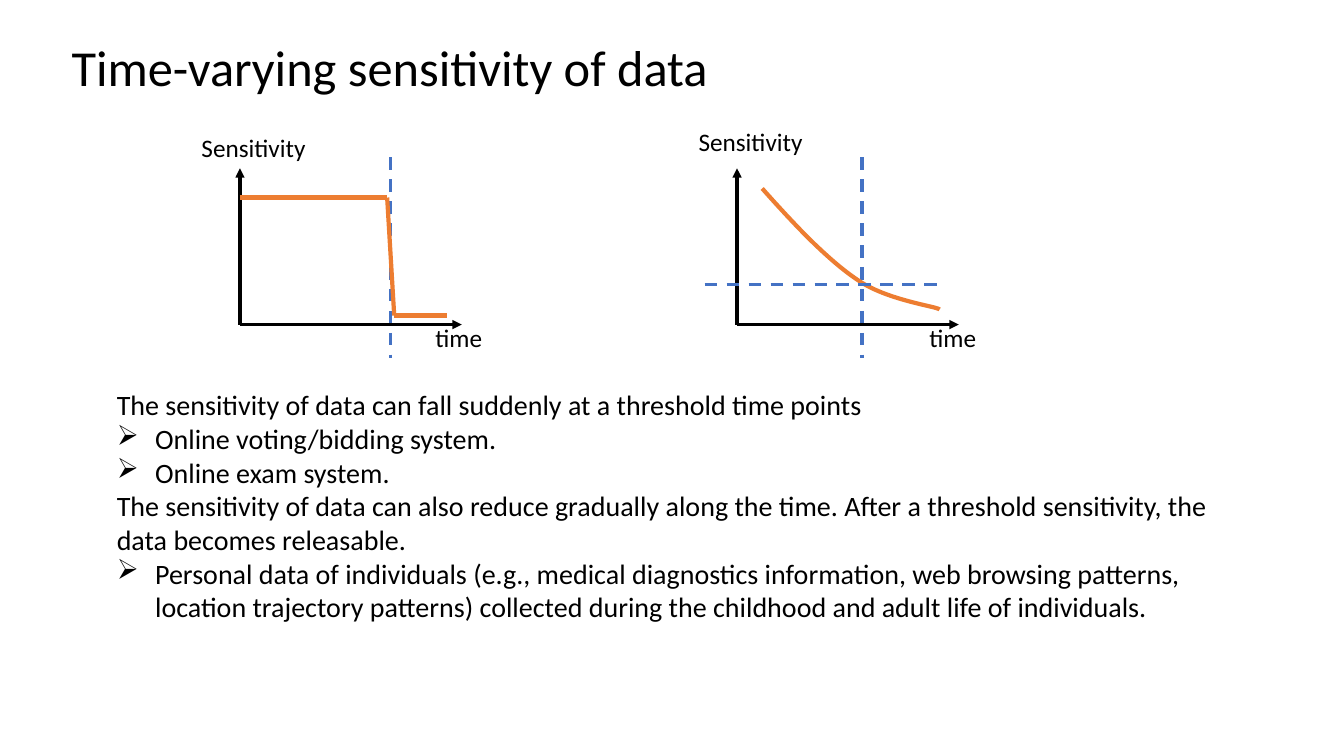
from lxml import etree
from pptx import Presentation
from pptx.dml.color import RGBColor
from pptx.enum.dml import MSO_LINE
from pptx.enum.shapes import MSO_CONNECTOR
from pptx.enum.text import MSO_ANCHOR, MSO_AUTO_SIZE, PP_ALIGN
from pptx.oxml.ns import qn
from pptx.util import Inches, Pt

STRAIGHT = MSO_CONNECTOR.STRAIGHT
DASH = MSO_LINE.DASH
LEFT = PP_ALIGN.LEFT
TOP, MIDDLE = MSO_ANCHOR.TOP, MSO_ANCHOR.MIDDLE
NO_AUTOFIT = MSO_AUTO_SIZE.NONE

FONT = "Calibri"
COLORS = {"text": "000000", "axis": "000000", "threshold": "4472C4", "curve": "ED7D31"}
BULLET, BULLET_INDENT = "➢", 0.38
AXIS_WIDTH, AXIS_HEIGHT = 2.2, 1.55
CURVE_STEPS = 24

# (text, is bulleted)
EXPLANATION = [
    ("The sensitivity of data can fall suddenly at a threshold time points", False),
    ("Online voting/bidding system.", True),
    ("Online exam system.", True),
    ("The sensitivity of data can also reduce gradually along the time. "
     "After a threshold sensitivity, the data becomes releasable.", False),
    ("Personal data of individuals (e.g., medical diagnostics information, "
     "web browsing patterns, location trajectory patterns) collected during "
     "the childhood and adult life of individuals.", True),
]


def rgb(role):
    return RGBColor.from_string(COLORS[role])


def format_paragraph(paragraph, size):
    paragraph.alignment = LEFT
    paragraph.font.name = FONT
    paragraph.font.size = Pt(size)
    paragraph.font.color.rgb = rgb("text")


def add_bullet(paragraph):
    properties = paragraph._p.get_or_add_pPr()
    properties.set("marL", str(Inches(BULLET_INDENT)))
    properties.set("indent", str(-Inches(BULLET_INDENT)))
    etree.SubElement(properties, qn("a:buChar")).set("char", BULLET)


def add_text_box(slide, left, top, width, height):
    box = slide.shapes.add_textbox(Inches(left), Inches(top), Inches(width), Inches(height))
    box.text_frame.word_wrap = True
    box.text_frame.vertical_anchor = TOP
    return box.text_frame


def add_label(slide, text, left, top, width):
    frame = add_text_box(slide, left, top, width, 0.4)
    frame.text = text
    format_paragraph(frame.paragraphs[0], 18)


def add_line(slide, start, end, role, width=2.25, dashed=False, arrow=False):
    line = slide.shapes.add_connector(STRAIGHT, *map(Inches, (*start, *end)))
    line.line.color.rgb = rgb(role)
    line.line.width = Pt(width)
    if dashed:
        line.line.dash_style = DASH
    if arrow:
        etree.SubElement(line.line._get_or_add_ln(), qn("a:tailEnd")).set("type", "triangle")
    etree.SubElement(line._element.spPr, qn("a:effectLst"))


def bezier_points(p0, p1, p2, p3):
    """Points along a cubic curve, without its first point."""
    for step in range(1, CURVE_STEPS + 1):
        t = step / CURVE_STEPS
        u = 1 - t
        weights = (u ** 3, 3 * u * u * t, 3 * u * t * t, t ** 3)
        yield tuple(sum(w * p[axis] for w, p in zip(weights, (p0, p1, p2, p3)))
                    for axis in (0, 1))


def add_curve(slide, points):
    points = [(Inches(x), Inches(y)) for x, y in points]
    builder = slide.shapes.build_freeform(*points[0])
    builder.add_line_segments(points[1:], close=False)
    curve = builder.convert_to_shape()
    curve.fill.background()
    curve.line.color.rgb = rgb("curve")
    curve.line.width = Pt(3)
    curve.shadow.inherit = False


def add_axes(slide, left, top, threshold, label_rise, time_offset):
    """Axes with labels and the dashed threshold time."""
    bottom = top + AXIS_HEIGHT
    origin = (left, bottom)
    add_line(slide, origin, (left + AXIS_WIDTH, bottom), "axis", arrow=True)
    add_line(slide, origin, (left, top), "axis", arrow=True)
    add_line(slide, (left + threshold, top - 0.11), (left + threshold, bottom + 0.33),
             "threshold", dashed=True)
    add_label(slide, "Sensitivity", left - 0.48, top - label_rise, 1.32)
    add_label(slide, "time", left + time_offset, bottom - 0.07, 0.68)


def add_sudden_fall(slide, left, top):
    add_axes(slide, left, top, threshold=1.49, label_rise=0.41, time_offset=1.84)
    steps = [(0, 0.29), (1.46, 0.29), (1.53, 1.46), (2.05, 1.46)]
    corners = [(left + x, top + y) for x, y in steps]
    for start, end in zip(corners, corners[1:]):
        add_line(slide, start, end, "curve", width=3)


def add_gradual_decline(slide, left, top):
    add_axes(slide, left, top, threshold=1.24, label_rise=0.47, time_offset=1.81)
    controls = [(0.25, 0.2), (0.57, 0.56), (0.9, 0.91), (1.2, 1.11),
                (1.49, 1.31), (1.98, 1.37), (2.01, 1.4)]
    controls = [(left + x, top + y) for x, y in controls]
    add_curve(slide, [controls[0], *bezier_points(*controls[:4]), *bezier_points(*controls[3:])])
    add_line(slide, (left - 0.32, top + 1.15), (left + 2.01, top + 1.15),
             "threshold", dashed=True)


def add_title(slide, left, top, width, height):
    title = slide.shapes.title
    title.left, title.top = Inches(left), Inches(top)
    title.width, title.height = Inches(width), Inches(height)
    frame = title.text_frame
    frame.text = "Time-varying sensitivity of data"
    frame.word_wrap = False
    frame.auto_size = NO_AUTOFIT
    frame.vertical_anchor = MIDDLE
    format_paragraph(frame.paragraphs[0], 36)


def add_explanation(slide, left, top, width, height):
    frame = add_text_box(slide, left, top, width, height)
    for index, (text, bulleted) in enumerate(EXPLANATION):
        paragraph = frame.add_paragraph() if index else frame.paragraphs[0]
        paragraph.text = text
        format_paragraph(paragraph, 20)
        if bulleted:
            add_bullet(paragraph)


def main():
    presentation = Presentation()
    presentation.slide_width, presentation.slide_height = Inches(13.33), Inches(7.5)
    slide = presentation.slides.add_slide(presentation.slide_layouts[5])
    add_title(slide, 0.61, 0.3, 6.57, 0.71)
    add_sudden_fall(slide, 2.38, 1.67)
    add_gradual_decline(slide, 7.31, 1.67)
    add_explanation(slide, 1.06, 3.8, 11.02, 2.46)
    presentation.save("out.pptx")


if __name__ == "__main__":
    main()
